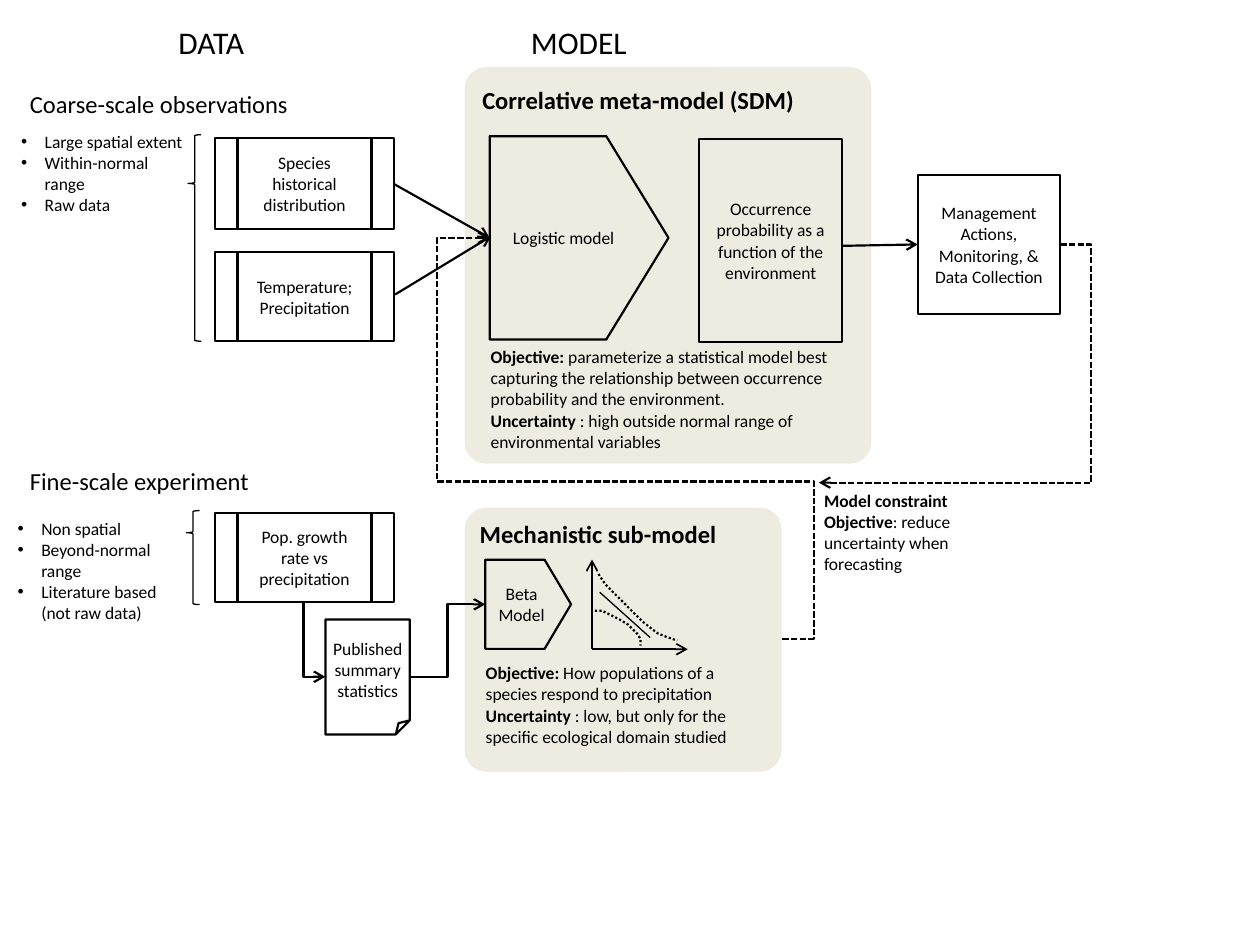
from lxml import etree
from pptx import Presentation
from pptx.dml.color import RGBColor
from pptx.enum.dml import MSO_LINE_DASH_STYLE as DASH
from pptx.enum.shapes import MSO_CONNECTOR as CONN, MSO_SHAPE as SHAPE
from pptx.enum.text import MSO_ANCHOR as ANCHOR, PP_ALIGN as ALIGN
from pptx.oxml.ns import qn
from pptx.util import Pt

COLORS = {"ink": "000000", "panel": "EEECE1"}
FONT = "Calibri"

HEADINGS = [
    ("DATA", (84, 9.5, 73.5, 29), 18, False, ALIGN.CENTER),
    ("MODEL", (294, 9.5, 73.5, 29), 18, False, ALIGN.CENTER),
    ("Coarse-scale observations", (10, 47.5, 214, 25), 14, False, ALIGN.LEFT),
    ("Fine-scale experiment", (10, 263, 252, 25), 14, False, ALIGN.LEFT),
]
BULLETS = [
    (["Large spatial extent", "Within-normal range", "Raw data"], (5, 71.3, 110, 56)),
    (["Non spatial", "Beyond-normal range", "Literature based (not raw data)"],
     (3, 292.3, 110, 68)),
]
BRACES = [(107.5, 77, 7.5, 118), (106.5, 291.8, 7.5, 53.7)]
DATA_BOXES = [
    (SHAPE.FLOWCHART_PREDEFINED_PROCESS, ["Species historical distribution"],
     (122.9, 78.7, 102.2, 52), None),
    (SHAPE.FLOWCHART_PREDEFINED_PROCESS, ["Temperature;", "Precipitation"],
     (122.9, 144, 102.2, 51), None),
    (SHAPE.FLOWCHART_PREDEFINED_PROCESS, ["Pop. growth rate vs", "precipitation"],
     (122.9, 293, 102.2, 51), None),
    (SHAPE.FOLDED_CORNER, ["Published summary statistics"], (186, 354, 48.2, 65.7), None),
]
MODEL_BOXES = [
    (SHAPE.FLOWCHART_PROCESS, ["Occurrence probability as a function of the environment"],
     (399.6, 79.3, 81.5, 116.2), None),
    (SHAPE.PENTAGON, ["Logistic model"], (279.8, 77.8, 102.2, 116.2), 0.348),
    (SHAPE.FLOWCHART_PROCESS, ["Management Actions, Monitoring, & Data Collection"],
     (524.4, 100, 81.4, 79.4), None),
]
BETA_BOX = (SHAPE.PENTAGON, ["Beta Model"], (277.3, 319.8, 49, 51), 0.309)
MECHANISTIC = {
    "panel": ((265.5, 290, 181.2, 151), 0.084),
    "title": ("Mechanistic sub-model", (267, 293, 169, 25)),
    "notes": ([("Objective: ", "How populations of a species respond to precipitation"),
               ("Uncertainty", " : low, but only for the specific ecological domain studied")],
              (270.5, 375, 169, 57)),
}
CORRELATIVE = {
    "panel": ((265.5, 38.3, 232.4, 226.7), 0.055),
    "title": ("Correlative meta-model (SDM)", (268.5, 44.8, 231, 25)),
    "notes": ([("Objective: ", "parameterize a statistical model best capturing the relationship "
                "between occurrence probability and the environment."),
               ("Uncertainty", " : high outside normal range of environmental variables")],
              (273.3, 194.4, 223, 68)),
}
CONSTRAINT = ([("Model constraint", ""), ("Objective", ": reduce uncertainty when forecasting")],
              (463.8, 276.5, 131, 56))
PLOT_LINES = [
    ((338.3, 371), (338.3, 319.8), 1, True),
    ((338.3, 371), (393, 371), 1, True),
    ((342.7, 338.4), (371.5, 364.3), 0.75, False),
]
PLOT_CURVES = [
    [(342, 328.3), (346.3, 334), (350.7, 339.3), (355.7, 344.2), (361, 349.4), (367, 355.2),
     (372.2, 359.3), (376, 361.8), (381, 364.2), (387.4, 366.5)],
    [(339.8, 349.2), (344, 349.4), (348.5, 350.6), (354, 353.5), (359.3, 357.1),
     (363.5, 361.5), (365.8, 365), (366.5, 369.4)],
]
ARROWS = [
    ((224.9, 105), (279.8, 135.9)),
    ((225.8, 168.3), (280.6, 135)),
    ((481.1, 140.5), (524.4, 139.7)),
]
ELBOWS = [
    ((447, 365), (279.8, 135.9), "bentConnector5", (-0.108, 0.392, 1.18), 0, True),
    ((200.9, 359.3), (158.4, 371.7), "bentConnector2", (), 270, False),
    ((234.2, 387), (277.3, 345.4), "bentConnector3", (0.5,), 0, False),
    ((605.8, 139.7), (468, 275.8), "bentConnector3", (-0.13,), 0, True),
]


def rgb(name):
    return RGBColor.from_string(COLORS[name])


def style_font(p, size, bold=None):
    f = p.font
    f.name, f.size, f.bold = FONT, Pt(size), bold
    f.color.rgb = rgb("ink")


def style_line(line, width, dash=None):
    line.color.rgb = rgb("ink")
    line.width = Pt(width)
    if dash:
        line.dash_style = dash


def add_text(shapes, paragraphs, box, size=10, bold=None, align=ALIGN.LEFT, bullet=False):
    tf = shapes.add_textbox(*map(Pt, box)).text_frame
    tf.word_wrap = True
    for i, parts in enumerate(paragraphs):
        p = tf.add_paragraph() if i else tf.paragraphs[0]
        p.alignment = align
        style_font(p, size, bold)
        if isinstance(parts, str):
            p.add_run().text = parts
        else:
            for text, is_bold in zip(parts, (True, False)):
                if text:
                    r = p.add_run()
                    r.text, r.font.bold = text, is_bold
        if bullet:
            ppr = p._p.get_or_add_pPr()
            ppr.set("marL", str(Pt(13.5)))
            ppr.set("indent", str(-Pt(13.5)))
            mark = etree.Element(qn("a:buChar"), char="•")
            font = etree.Element(qn("a:buFont"), typeface="Arial")
            ppr.insert(0, font)
            ppr.insert(1, mark)


def add_shape(shapes, kind, box, adj=(), fill=None, width=None):
    sp = shapes.add_shape(kind, *map(Pt, box))
    sp.shadow.inherit = False
    for i, value in enumerate(adj):
        sp.adjustments[i] = value
    if fill:
        sp.fill.solid()
        sp.fill.fore_color.rgb = rgb(fill)
    else:
        sp.fill.background()
    if width:
        style_line(sp.line, width)
    else:
        sp.line.fill.background()
    return sp


def add_box(shapes, kind, lines, box, adj):
    sp = add_shape(shapes, kind, box, (adj,) if adj else (), width=1.25)
    tf = sp.text_frame
    tf.word_wrap, tf.vertical_anchor = True, ANCHOR.MIDDLE
    if kind == SHAPE.FOLDED_CORNER:
        tf.margin_left = tf.margin_right = 0
    for i, text in enumerate(lines):
        p = tf.add_paragraph() if i else tf.paragraphs[0]
        p.text, p.alignment = text, ALIGN.CENTER
        style_font(p, 10)


def add_line(shapes, start, end, width=1.25, arrow=True, kind=CONN.STRAIGHT, dash=None):
    c = shapes.add_connector(kind, *map(Pt, start + end))
    style_line(c.line, width, dash)
    if arrow:
        etree.SubElement(c.line._get_or_add_ln(), qn("a:tailEnd"), type="arrow")
    etree.SubElement(c._element.spPr, qn("a:effectLst"))
    return c


def add_elbow(shapes, start, end, preset, adj, turn, dashed):
    c = add_line(shapes, start, end, kind=CONN.ELBOW, dash=DASH.SQUARE_DOT if dashed else None)
    spPr = c._element.spPr
    geom = spPr.find(qn("a:prstGeom"))
    geom.set("prst", preset)
    guides = geom.find(qn("a:avLst"))
    for i, value in enumerate(adj, 1):
        etree.SubElement(guides, qn("a:gd"), name=f"adj{i}", fmla=f"val {round(value * 100000)}")
    if turn:
        spPr.find(qn("a:xfrm")).set("rot", str(turn * 60000))


def add_curve(shapes, points):
    fb = shapes.build_freeform(*points[0], scale=Pt(1))
    fb.add_line_segments(points[1:], close=False)
    sp = fb.convert_to_shape()
    sp.shadow.inherit = False
    sp.fill.background()
    style_line(sp.line, 1.25, DASH.ROUND_DOT)


def add_panel(shapes, panel):
    box, radius = panel["panel"]
    add_shape(shapes, SHAPE.ROUNDED_RECTANGLE, box, (radius,), fill="panel")
    title, title_box = panel["title"]
    add_text(shapes, [title], title_box, 14, True)
    add_text(shapes, *panel["notes"])


prs = Presentation()
prs.slide_width, prs.slide_height = Pt(720), Pt(540)
s = prs.slides.add_slide(prs.slide_layouts[6])

for text, box, size, bold, align in HEADINGS:
    add_text(s.shapes, [text], box, size, bold, align)
for items, box in BULLETS:
    add_text(s.shapes, items, box, bullet=True)
for box in BRACES:
    add_shape(s.shapes, SHAPE.LEFT_BRACE, box, (0.083, 0.236), width=0.75)
for item in DATA_BOXES:
    add_box(s.shapes, *item)

mechanistic = s.shapes.add_group_shape().shapes
add_panel(mechanistic, MECHANISTIC)
for item in PLOT_LINES:
    add_line(mechanistic, *item)
for points in PLOT_CURVES:
    add_curve(mechanistic, points)
add_box(mechanistic, *BETA_BOX)

add_panel(s.shapes, CORRELATIVE)
for item in MODEL_BOXES:
    add_box(s.shapes, *item)
add_text(s.shapes, *CONSTRAINT)
for item in ARROWS:
    add_line(s.shapes, *item)
for item in ELBOWS:
    add_elbow(s.shapes, *item)

prs.save("out.pptx")
